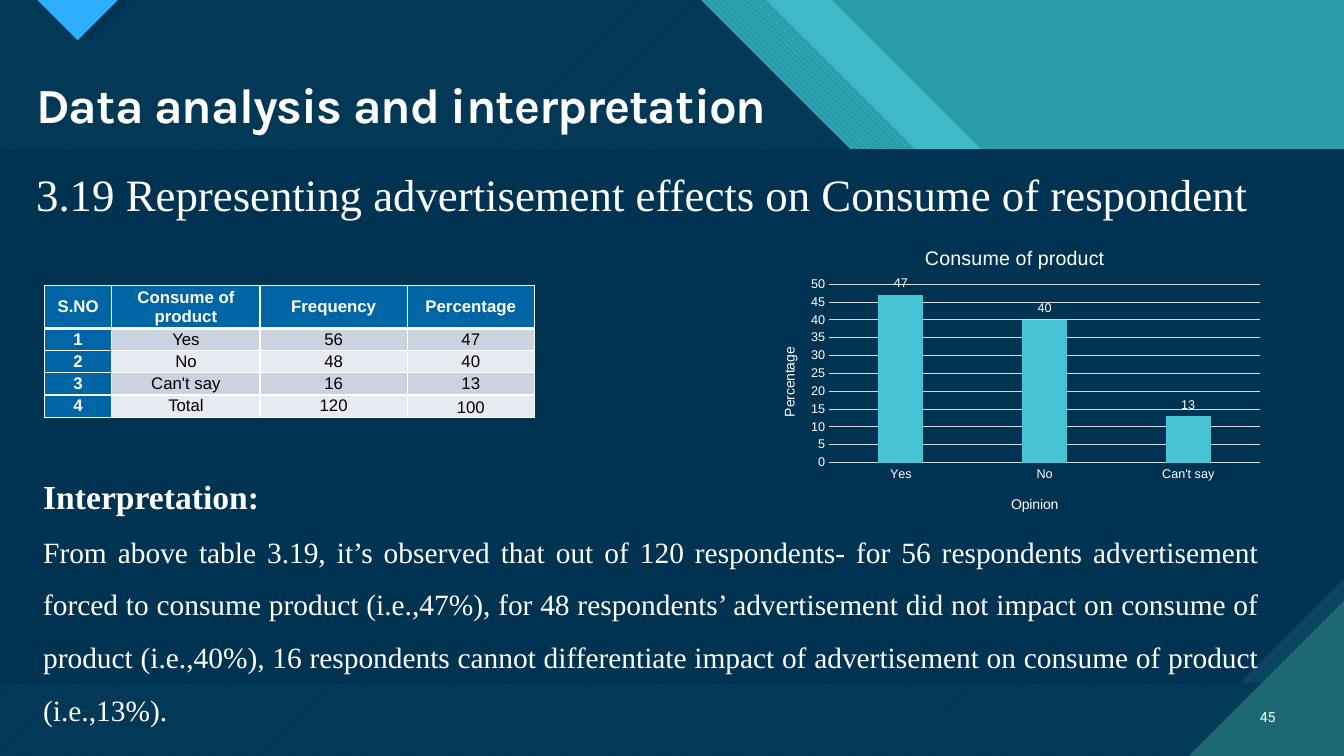
import pptx
import pptx.chart.data
import pptx.dml.color
import pptx.enum.chart
import pptx.enum.dml
import pptx.enum.text
import pptx.util
from lxml import etree
from pptx.oxml.ns import qn

PX = 9144  # one px is a hundredth of an inch
WHITE, NAVY, CYAN, TEAL, GRID = "FFFFFF", "003352", "47C3D3", "299CAB", "D9D9D9"
ALIGN = pptx.enum.text.PP_ALIGN
ANCHOR = pptx.enum.text.MSO_ANCHOR
HATCH = pptx.enum.dml.MSO_PATTERN
CHART = pptx.enum.chart
WIDE, HIGH = 1333, 750


def px(*nums):
    return [pptx.util.Emu(n * PX) for n in nums]


def color(text):
    return pptx.dml.color.RGBColor.from_string(text)


def put(thing, **form):
    for name, value in form.items():
        setattr(thing, name, value)


def style(font, size, name, ink=WHITE, bold=False):
    put(font, size=pptx.util.Pt(size), name=name, bold=bold)
    font.color.rgb = color(ink)


def paint(fill, ink, alpha=None):
    fill.solid()
    fill.fore_color.rgb = color(ink)
    if alpha:
        node = fill.fore_color._xFill.find(qn("a:srgbClr"))
        etree.SubElement(node, qn("a:alpha"), val=str(alpha * 1000))


def poly(slide, box, points, ink, alpha=None, hatch=None, back=None):
    left, top = box[:2]
    spots = [(left + x, top + y) for x, y in points]
    pen = slide.shapes.build_freeform(*spots[0], scale=PX)
    pen.add_line_segments(spots[1:], close=True)
    shape = pen.convert_to_shape()
    shape.shadow.inherit = False
    shape.line.fill.background()
    if hatch:
        shape.fill.patterned()
        shape.fill.pattern = hatch
        shape.fill.fore_color.rgb = color(ink)
        shape.fill.back_color.rgb = color(back)
    else:
        paint(shape.fill, ink, alpha)


def band(edge, width, height):
    """Outline left of a diagonal that starts at edge and falls to the right."""
    step = 297
    low = edge + step + 126
    return [(0, 0), (edge, 0), (edge + step, step), (low, step),
            (width, step + width - low), (width, height), (0, height)]


def scene(slide, box):
    width, height = box[2:]
    paint(slide.background.fill, TEAL)
    # Diagonal bands, widest first
    poly(slide, box, band(825, width, height), CYAN, alpha=74)
    poly(slide, box, band(760, width, height), CYAN,
         hatch=HATCH.WIDE_DOWNWARD_DIAGONAL, back=TEAL)
    dark = band(695, width, height)
    poly(slide, box, dark, CYAN, hatch=HATCH.WIDE_UPWARD_DIAGONAL, back="1B6872")
    poly(slide, box, dark, NAVY, alpha=90)
    # Folded tab at the top left
    poly(slide, box, [(48, 0), (131, 0), (90, 41)], NAVY)
    poly(slide, box, [(37, 0), (117, 0), (77, 40)], "2FAFFF")
    # Main panel with its cut corner
    top, low, cut = 148, 678, 104
    poly(slide, box, [(0, top), (width, top), (width, low), (0, low)], "0C4360")
    poly(slide, box, [(0, top), (width, top), (width, low - cut),
                      (width - cut, low), (0, low)], NAVY)
    # Corner triangle
    side = 154
    poly(slide, box, [(width - side, height), (width, height),
                      (width, height - side)], "1B6872")


def head(slide, box, text):
    title = slide.shapes.title
    title.element.getparent().append(title.element)  # bring to front
    left, top, width, height = px(*box)
    put(title, left=left, top=top, width=width, height=height)
    frame = title.text_frame
    put(frame, text=text, word_wrap=True, vertical_anchor=ANCHOR.MIDDLE,
        auto_size=pptx.enum.text.MSO_AUTO_SIZE.NONE)
    para = frame.paragraphs[0]
    put(para, alignment=ALIGN.LEFT, line_spacing=0.9)
    run = para.runs[0]
    style(run.font, 35, "Karla", bold=True)
    run.font._element.set("spc", "-70")


def prose(slide, box, lines, align=ALIGN.JUSTIFY, space=1.0,
          face="Times New Roman", anchor=ANCHOR.TOP):
    """Each line is its text, size and weight."""
    frame = slide.shapes.add_textbox(*px(*box)).text_frame
    put(frame, word_wrap=True, vertical_anchor=anchor)
    for i, (text, size, bold) in enumerate(lines):
        para = frame.add_paragraph() if i else frame.paragraphs[0]
        put(para, alignment=align, line_spacing=space)
        run = para.add_run()
        run.text = text
        style(run.font, size, face, bold=bold)


def border(cell, low):
    props = cell._tc.get_or_add_tcPr()
    for i, (side, size) in enumerate(zip("LRTB", (1, 1, 1, low))):
        line = etree.Element(qn("a:ln" + side), w=str(pptx.util.Pt(size)))
        fill = etree.SubElement(line, qn("a:solidFill"))
        etree.SubElement(fill, qn("a:srgbClr"), val=WHITE)
        props.insert(i, line)


def grid(slide, box, rows, cols, highs):
    table = slide.shapes.add_table(len(rows), len(cols), *px(*box)).table
    for col, width in zip(table.columns, px(*cols)):
        col.width = width
    for row, height in zip(table.rows, px(*highs)):
        row.height = height
    side = px(7)[0]
    for r, row in enumerate(rows):
        for c, text in enumerate(row):
            cell = table.cell(r, c)
            last = r == len(rows) - 1 and c == len(row) - 1
            put(cell, text=text, margin_left=side, margin_right=side,
                margin_top=0, margin_bottom=0,
                vertical_anchor=ANCHOR.BOTTOM if last else ANCHOR.MIDDLE)
            key = r == 0 or c == 0
            paint(cell.fill, "0065A4" if key else "CCD3E0" if r % 2 else "E7EAF0")
            border(cell, 1 if r else 3)
            para = cell.text_frame.paragraphs[0]
            para.alignment = ALIGN.CENTER
            style(para.runs[0].font, 12, "Arial", WHITE if key else "000000", key)


def place(node, index, **spot):
    """Set a fixed layout, in shares of the chart's size."""
    for old in node.findall(qn("c:layout")):
        node.remove(old)
    layout = etree.Element(qn("c:layout"))
    node.insert(index, layout)
    manual = etree.SubElement(layout, qn("c:manualLayout"))
    if "w" in spot:
        etree.SubElement(manual, qn("c:layoutTarget"), val="inner")
    for name in "xy":
        etree.SubElement(manual, qn("c:%sMode" % name), val="edge")
    for name, value in spot.items():
        etree.SubElement(manual, qn("c:" + name), val=str(value))


def label(title, text, size, x, y):
    title.text_frame.text = text
    style(title.text_frame.paragraphs[0].runs[0].font, size, "Arial")
    place(title.element, 1, x=x, y=y)


def stroke(line):
    paint(line.fill, GRID)
    line.width = pptx.util.Pt(0.75)


def bars(slide, box, title, names, values):
    data = pptx.chart.data.CategoryChartData()
    data.categories = names
    data.add_series("Series 1", values)
    kind = CHART.XL_CHART_TYPE.COLUMN_CLUSTERED
    chart = slide.shapes.add_chart(kind, *px(*box), data).chart
    style(chart.font, 10, "Arial")
    put(chart, has_legend=False, has_title=True)
    label(chart.chart_title, title, 14, 0.32, 0.05)
    place(chart.element.chart.plotArea, 0, x=0.14, y=0.19, w=0.84, h=0.59)
    # Axes
    cat, val = chart.category_axis, chart.value_axis
    for axis, text, x, y in ((cat, "Opinion", 0.49, 0.88),
                             (val, "Percentage", 0.04, 0.39)):
        put(axis, has_title=True, major_tick_mark=CHART.XL_TICK_MARK.NONE)
        label(axis.axis_title, text, 10, x, y)
        style(axis.tick_labels.font, 9, "Arial")
    put(val, minimum_scale=0, maximum_scale=50, major_unit=5)
    stroke(cat.format.line)
    stroke(val.major_gridlines.format.line)
    val.format.line.fill.background()
    # Columns and their values
    plot = chart.plots[0]
    put(plot, gap_width=219, overlap=-27, vary_by_categories=False,
        has_data_labels=True)
    paint(plot.series[0].format.fill, CYAN)
    put(plot.data_labels, show_value=True,
        position=CHART.XL_LABEL_POSITION.OUTSIDE_END)
    style(plot.data_labels.font, 9, "Arial")


def main():
    deck = pptx.Presentation()
    deck.slide_width, deck.slide_height = px(WIDE, HIGH)
    slide = deck.slides.add_slide(deck.slide_layouts[5])
    scene(slide, (0, 0, WIDE, HIGH))
    head(slide, (26, 75, 756, 63), "Data analysis and interpretation")
    prose(slide, (1231, 691, 44, 40), [("45", 10, False)], ALIGN.RIGHT,
          face="Roboto", anchor=ANCHOR.MIDDLE)
    prose(slide, (26, 160, 1249, 64), [
        ("3.19 Representing advertisement effects on Consume of respondent", 32, False)])
    prose(slide, (33, 447, 1226, 287), [
        ("Interpretation:", 24, True),
        ("From above table 3.19, it’s observed that out of 120 respondents- for 56 "
         "respondents advertisement forced to consume product (i.e.,47%), for 48 "
         "respondents’ advertisement did not impact on consume of product (i.e.,40%), "
         "16 respondents cannot differentiate impact of advertisement on consume of "
         "product (i.e.,13%).", 21, False)], space=1.5)
    rows = [("S.NO", "Consume of product", "Frequency", "Percentage"),
            ("1", "Yes", "56", "47"), ("2", "No", "48", "40"),
            ("3", "Can't say", "16", "13"), ("4", "Total", "120", "100")]
    grid(slide, (44, 283, 486, 131), rows, (67, 147, 146, 126), [43] + [22] * 4)
    bars(slide, (751, 225, 509, 300), "Consume of product",
         ("Yes", "No", "Can't say"), (47, 40, 13))
    deck.save("out.pptx")


if __name__ == "__main__":
    main()
